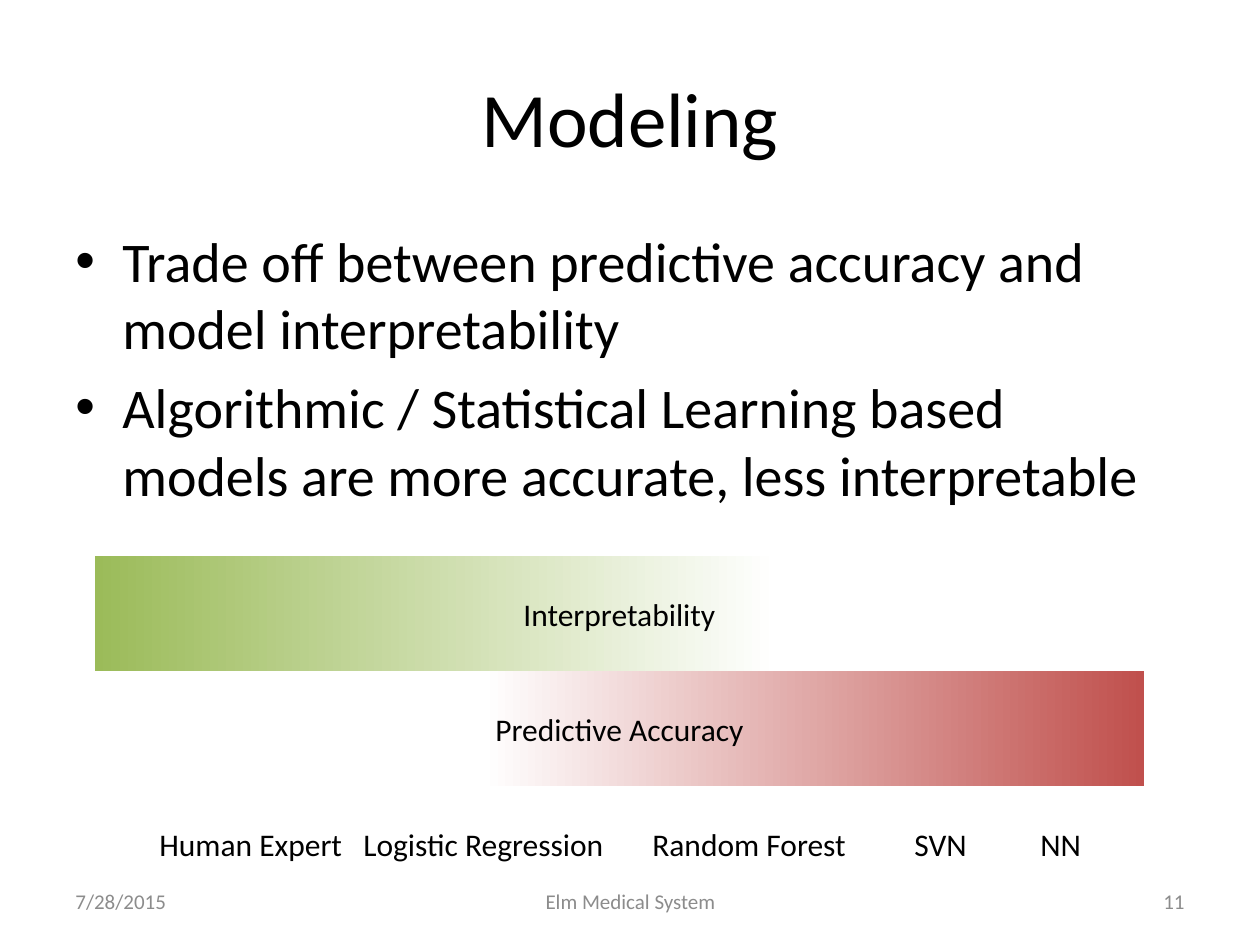
import copy
from dataclasses import dataclass

import pptx
import pptx.dml.color
import pptx.enum.shapes
import pptx.enum.text
import pptx.oxml
import pptx.oxml.ns
import pptx.util

EMU_PER_PX = 914400 // 126
ALIGN = pptx.enum.text.PP_ALIGN
ANCHOR = pptx.enum.text.MSO_ANCHOR


@dataclass(frozen=True)
class Theme:
    font: str = "Calibri"
    ink: str = "000000"
    muted: str = "8C8C8C"
    white: str = "FFFFFF"
    green: str = "9BBB59"
    red: str = "C0504D"
    title: int = 44
    body: int = 32
    label: int = 18
    footer: int = 12


THEME = Theme()


def px(length):
    return pptx.util.Emu(length * EMU_PER_PX)


def rgb(value):
    return pptx.dml.color.RGBColor.from_string(value)


def write_text(shape, lines, size, color=THEME.ink, align=ALIGN.LEFT, anchor=ANCHOR.MIDDLE):
    frame = shape.text_frame
    frame.word_wrap = True
    frame.vertical_anchor = anchor
    frame.text = "\n".join(lines)
    for paragraph in frame.paragraphs:
        paragraph.alignment = align
        paragraph.font.name = THEME.font
        paragraph.font.size = pptx.util.Pt(size)
        paragraph.font.color.rgb = rgb(color)
    return frame.paragraphs


def add_text(slide, box, lines, size, **style):
    shape = slide.shapes.add_textbox(*map(px, box))
    return write_text(shape, lines, size, **style)


def append_property(paragraph, tag, **attributes):
    properties = paragraph._p.get_or_add_pPr()
    element = pptx.oxml.parse_xml(f"<a:{tag} {pptx.oxml.ns.nsdecls('a')}/>")
    for name, value in attributes.items():
        element.set(name, str(value))
    properties.insert_element_before(element, "a:defRPr", "a:extLst")
    return element


def add_bullets(slide, box, lines, indent):
    for paragraph in add_text(slide, box, lines, THEME.body, anchor=ANCHOR.TOP):
        paragraph.space_before = pptx.util.Pt(7)
        properties = paragraph._p.get_or_add_pPr()
        properties.set("marL", str(px(indent)))
        properties.set("indent", str(px(-indent)))
        append_property(paragraph, "buFont", typeface="Arial")
        append_property(paragraph, "buChar", char="•")


def add_tabbed_labels(slide, box, labels, stops):
    paragraph = add_text(slide, box, ["\t".join(labels)], THEME.label, anchor=ANCHOR.TOP)[0]
    tabs = append_property(paragraph, "tabLst")
    for stop in stops:
        tab = pptx.oxml.parse_xml(f"<a:tab {pptx.oxml.ns.nsdecls('a')}/>")
        tab.set("pos", str(px(stop)))
        tab.set("algn", "l")
        tabs.append(tab)


def add_gradient_bar(slide, box, label, color, fade_end, angle):
    shape = slide.shapes.add_shape(pptx.enum.shapes.MSO_SHAPE.RECTANGLE, *map(px, box))
    shape.shadow.inherit = False
    shape.line.fill.background()
    shape.fill.gradient()
    shape.fill.gradient_angle = angle
    first_stop = shape._element.spPr.find(".//" + pptx.oxml.ns.qn("a:gs"))
    first_stop.addnext(copy.deepcopy(first_stop))
    stops = ((0, THEME.white), (fade_end, THEME.white), (1, color))
    for stop, (position, stop_color) in zip(shape.fill.gradient_stops, stops):
        stop.position = position
        stop.color.rgb = rgb(stop_color)
    write_text(shape, [label], THEME.label, align=ALIGN.CENTER)


def main():
    presentation = pptx.Presentation()
    presentation.slide_width = px(1260)
    presentation.slide_height = px(945)
    slide = presentation.slides.add_slide(presentation.slide_layouts[6])

    add_text(slide, (63, 38, 1134, 157), ["Modeling"], THEME.title, align=ALIGN.CENTER)
    add_bullets(slide, (63, 220, 1134, 305), [
        "Trade off between predictive accuracy and model interpretability",
        "Algorithmic / Statistical Learning based models are more accurate, less interpretable",
    ], indent=47)

    footers = (
        (63, 294, "7/28/2015", ALIGN.LEFT),
        (431, 399, "Elm Medical System", ALIGN.CENTER),
        (903, 294, "11", ALIGN.RIGHT),
    )
    for left, width, text, align in footers:
        add_text(slide, (left, 876, width, 50), [text], THEME.footer,
                 color=THEME.muted, align=align)

    bar_top, bar_height = 556, 115
    bars = (
        ("Interpretability", THEME.green, 0.35, 180),
        ("Predictive Accuracy", THEME.red, 0.37, 0),
    )
    for row, (label, color, fade_end, angle) in enumerate(bars):
        box = (95, bar_top + row * bar_height, 1049, bar_height)
        add_gradient_bar(slide, box, label, color, fade_end, angle)

    add_tabbed_labels(slide, (147, 819, 958, 50),
                      ["Human Expert", "Logistic Regression", "Random Forest", "SVN", "NN"],
                      stops=(204, 493, 755, 881))

    presentation.save("out.pptx")


if __name__ == "__main__":
    main()
